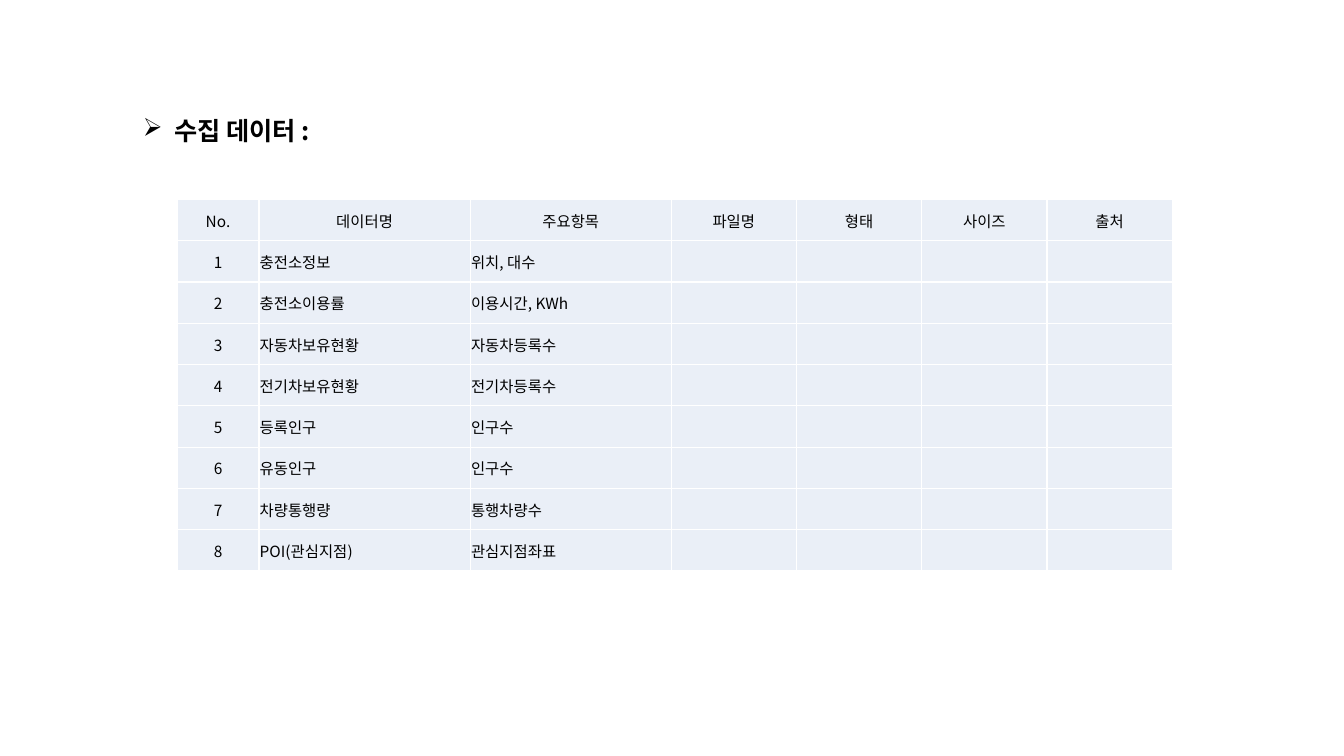
from pptx import Presentation
from pptx.dml.color import RGBColor
from pptx.enum.text import MSO_ANCHOR, MSO_AUTO_SIZE, PP_ALIGN
from pptx.oxml.ns import qn
from pptx.util import Emu, Pt
from lxml.etree import SubElement

BLACK = RGBColor(0x00, 0x00, 0x00)
WHITE = RGBColor(0xFF, 0xFF, 0xFF)
PALE = RGBColor(0xEA, 0xEF, 0xF7)

HEADS = ["No.", "데이터명", "주요항목", "파일명", "형태", "사이즈", "출처"]
DATA = [
    ("충전소정보", "위치, 대수"),
    ("충전소이용률", "이용시간, KWh"),
    ("자동차보유현황", "자동차등록수"),
    ("전기차보유현황", "전기차등록수"),
    ("등록인구", "인구수"),
    ("유동인구", "인구수"),
    ("차량통행량", "통행차량수"),
    ("POI(관심지점)", "관심지점좌표"),
]
WIDTHS = [117, 302, 287] + [179] * 4
HIGH = 59


def px(count):
    """Turn px, 144 to the inch, into EMU."""
    return Emu(count * 6350)


class Page:
    face = "Noto Sans CJK KR"

    def __init__(self, deck):
        self.slide = deck.slides.add_slide(deck.slide_layouts[6])

    def label(self, para, text, **style):
        run = para.add_run()
        run.text = text
        font = run.font
        for name, value in {"name": self.face, **style}.items():
            setattr(font, name, value)
        font.color.rgb = BLACK
        SubElement(run._r.get_or_add_rPr(), qn("a:ea"), typeface=self.face)

    def title(self, text, left, top, width, height, indent):
        box = self.slide.shapes.add_textbox(*map(px, (left, top, width, height)))
        frame = box.text_frame
        frame.word_wrap = True
        frame.auto_size = MSO_AUTO_SIZE.SHAPE_TO_FIT_TEXT
        para = frame.paragraphs[0]
        props = para._p.get_or_add_pPr()
        props.set("marL", str(px(indent)))
        props.set("indent", str(px(-indent)))
        SubElement(props, qn("a:buChar"), char="➢")
        self.label(para, text, size=Pt(18), bold=True)

    def edge(self, cell):
        """Draw a white border on all four sides; call before filling."""
        props = cell._tc.get_or_add_tcPr()
        for side in "LRTB":
            line = SubElement(props, qn(f"a:ln{side}"), w=str(Pt(1)))
            fill = SubElement(line, qn("a:solidFill"))
            SubElement(fill, qn("a:srgbClr"), val=str(WHITE))

    def cell(self, cell, text, align):
        self.edge(cell)
        cell.fill.solid()
        cell.fill.fore_color.rgb = PALE
        style = {
            "vertical_anchor": MSO_ANCHOR.MIDDLE,
            "margin_left": px(1),
            "margin_right": px(1),
            "margin_top": px(1),
            "margin_bottom": px(0),
        }
        for name, value in style.items():
            setattr(cell, name, value)
        if text:
            para = cell.text_frame.paragraphs[0]
            para.alignment = align
            self.label(para, text, size=Pt(11))

    def table(self, rows, left, top):
        size = (left, top, sum(WIDTHS), HIGH * len(rows))
        frame = self.slide.shapes.add_table(len(rows), len(WIDTHS), *map(px, size))
        table = frame.table
        table.first_row = table.horz_banding = False
        for col, width in zip(table.columns, WIDTHS):
            col.width = px(width)
        for y, row in enumerate(rows):
            table.rows[y].height = px(HIGH)
            for x, text in enumerate(row):
                mid = y == 0 or x == 0
                align = PP_ALIGN.CENTER if mid else PP_ALIGN.LEFT
                self.cell(table.cell(y, x), text, align)


def main():
    deck = Presentation()
    deck.slide_width, deck.slide_height = px(1920), px(1080)
    page = Page(deck)
    page.title("수집 데이터 :", 190, 158, 324, 58, indent=45)
    blank = [""] * 4
    body = [[str(no), *pair, *blank] for no, pair in enumerate(DATA, 1)]
    page.table([HEADS, *body], 253, 285)
    deck.save("out.pptx")


if __name__ == "__main__":
    main()
